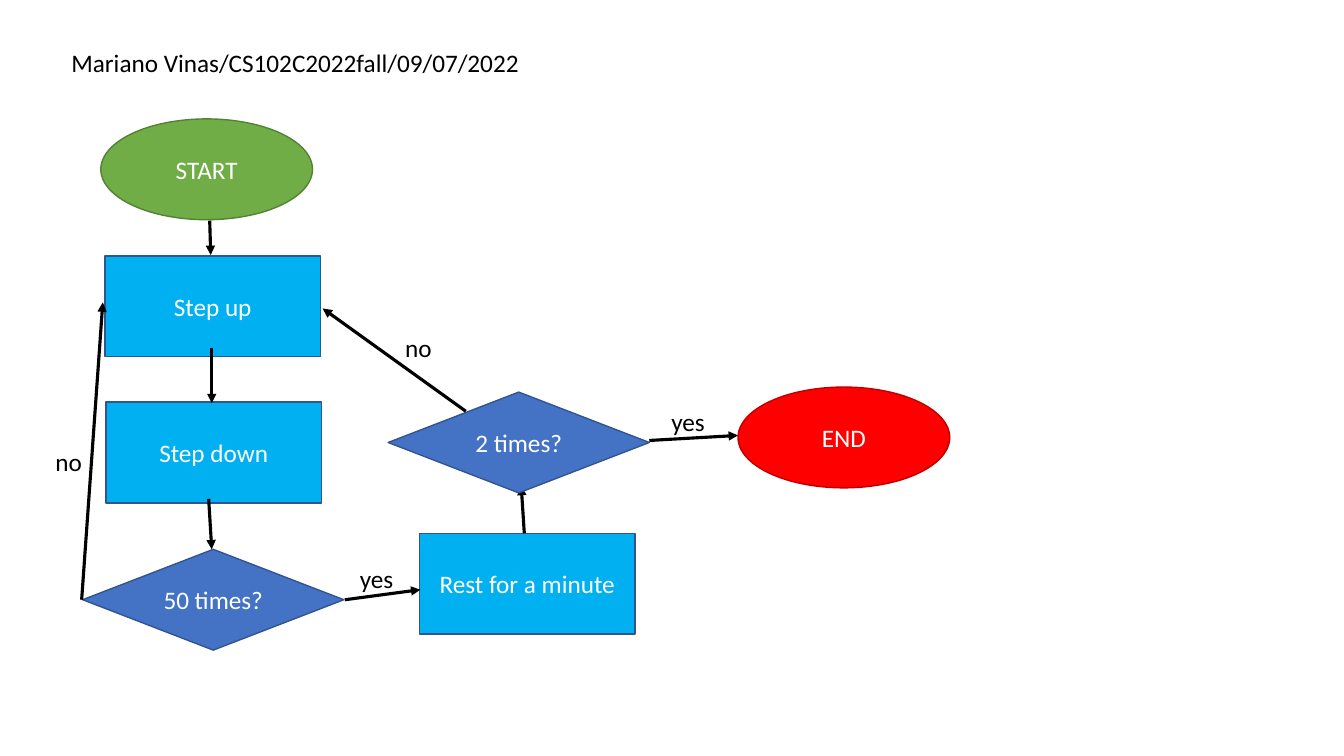
from dataclasses import dataclass

from pptx import Presentation
from pptx.dml.color import RGBColor
from pptx.enum.shapes import MSO_CONNECTOR as Connector, MSO_SHAPE as Shape
from pptx.enum.text import MSO_ANCHOR as Anchor, PP_ALIGN as Align
from pptx.oxml.ns import qn
from pptx.util import Inches, Pt
from lxml.etree import SubElement


@dataclass(frozen=True)
class Theme:
    font: str = "Calibri"
    text_size: int = 18
    outline: float = 1
    arrow: float = 2.25
    black: str = "000000"
    white: str = "FFFFFF"


@dataclass(frozen=True)
class NodeKind:
    shape: int
    columns: float
    fill: str
    line: str


THEME = Theme()
CELL = Inches(1)  # one column or row of the layout grid
NODE_ROWS = 1
LABEL_COLUMNS = 0.65
TEXT_ROWS = 0.4

START = NodeKind(Shape.OVAL, 2.1, "70AD47", "548235")
END = NodeKind(Shape.OVAL, 2.1, "FF0000", "C00000")
STEP = NodeKind(Shape.RECTANGLE, 2.14, "00B0F0", "325491")
DECISION = NodeKind(Shape.DIAMOND, 2.59, "4472C4", "325491")

# Each round: nodes as (kind, text, column, row), arrows as (from, to)
EXERCISE_NODES = [
    (START, "START", 1, 1.18),
    (STEP, "Step up", 1.04, 2.54),
    (STEP, "Step down", 1.05, 3.99),
    (DECISION, "50 times?", 0.82, 5.45),
    (STEP, "Rest for a minute", 4.16, 5.29),
]
EXERCISE_ARROWS = [
    ((2.08, 2.19), (2.09, 2.53)),
    ((2.1, 3.45), (2.1, 4)),
    ((2.07, 4.95), (2.1, 5.45)),
    ((0.81, 5.95), (1.02, 3)),
    ((3.42, 5.95), (4.17, 5.85)),
    ((5.2, 5.29), (5.17, 4.82)),
]
REPEAT_NODES = [
    (DECISION, "2 times?", 3.85, 3.89),
    (END, "END", 7.32, 3.84),
]
REPEAT_ARROWS = [
    ((4.62, 4.08), (3.2, 3.06)),
    ((6.44, 4.37), (7.32, 4.32)),
]
ANSWERS = [
    ("no", 0.45, 4.38),
    ("yes", 3.47, 5.54),
    ("no", 3.92, 3.25),
    ("yes", 6.56, 3.98),
]


def grid(*lengths):
    return [round(length * CELL) for length in lengths]


def color(value):
    return RGBColor.from_string(value)


def write(box, text, ink):
    box.text_frame.text = text
    font = box.text_frame.paragraphs[0].runs[0].font
    font.name = THEME.font
    font.size = Pt(THEME.text_size)
    font.color.rgb = color(ink)


def add_node(page, kind, text, column, row):
    node = page.shapes.add_shape(kind.shape, *grid(column, row, kind.columns, NODE_ROWS))
    node.shadow.inherit = False
    node.fill.solid()
    node.fill.fore_color.rgb = color(kind.fill)
    node.line.color.rgb = color(kind.line)
    node.line.width = Pt(THEME.outline)
    write(node, text, THEME.white)
    node.text_frame.word_wrap = True
    node.text_frame.vertical_anchor = Anchor.MIDDLE
    node.text_frame.paragraphs[0].alignment = Align.CENTER


def add_arrow(page, start, end):
    arrow = page.shapes.add_connector(Connector.STRAIGHT, *grid(*start, *end))
    arrow.line.color.rgb = color(THEME.black)
    arrow.line.width = Pt(THEME.arrow)
    SubElement(arrow.line._get_or_add_ln(), qn("a:tailEnd"), type="triangle")
    SubElement(arrow._element.spPr, qn("a:effectLst"))


def add_label(page, text, column, row, columns=LABEL_COLUMNS):
    label = page.shapes.add_textbox(*grid(column, row, columns, TEXT_ROWS))
    label.text_frame.word_wrap = True
    write(label, text, THEME.black)


def main():
    deck = Presentation()
    deck.slide_width, deck.slide_height = grid(13.33, 7.5)
    page = deck.slides.add_slide(deck.slide_layouts[6])

    # Heading
    add_label(page, "Mariano Vinas/CS102C2022fall/09/07/2022", 0.61, 0.42, columns=5)

    # Flow chart, the second round lying over the first
    for nodes, arrows in ((EXERCISE_NODES, EXERCISE_ARROWS), (REPEAT_NODES, REPEAT_ARROWS)):
        for node in nodes:
            add_node(page, *node)
        for arrow in arrows:
            add_arrow(page, *arrow)

    # Answers beside the arrows
    for answer in ANSWERS:
        add_label(page, *answer)

    deck.save("out.pptx")


main()
